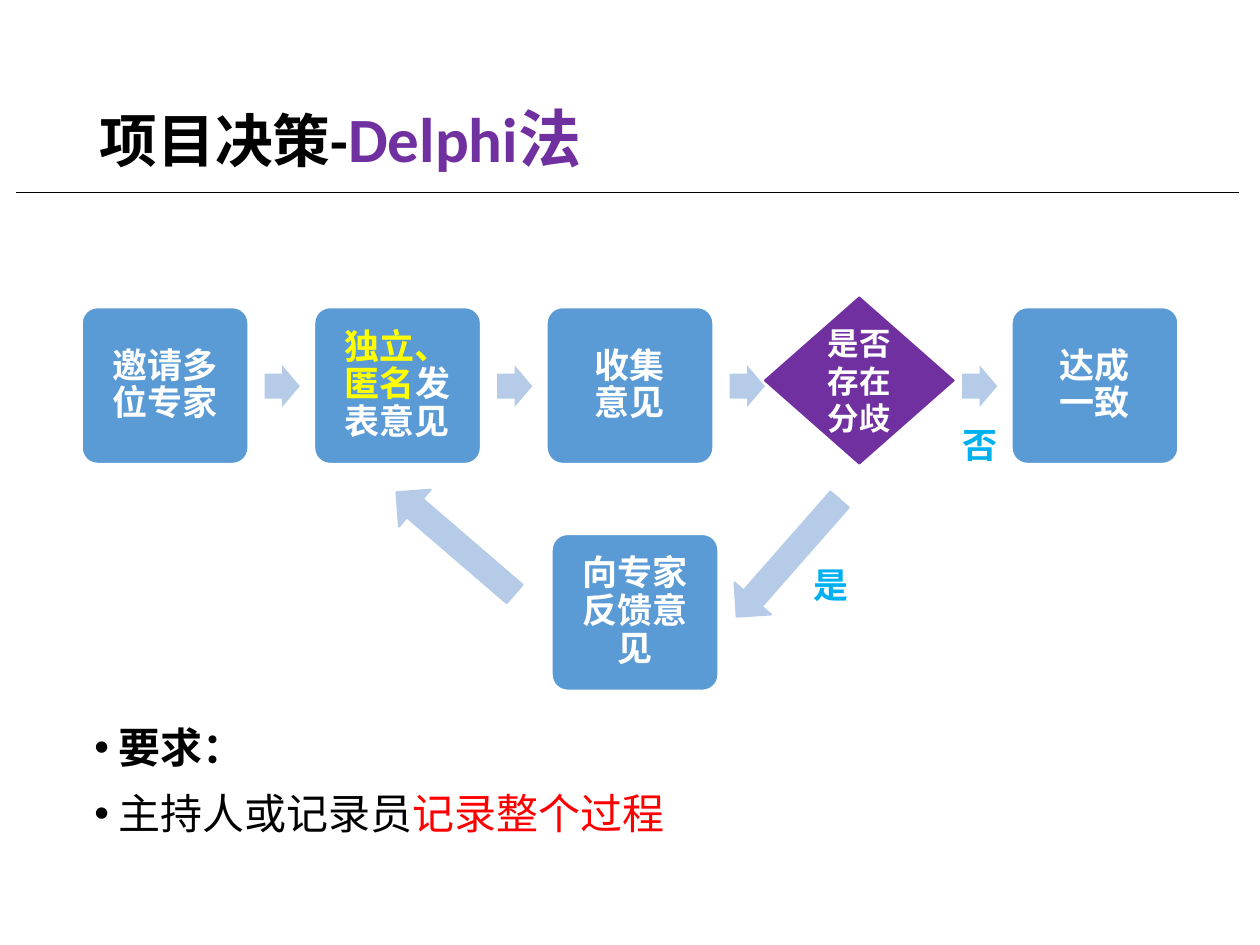
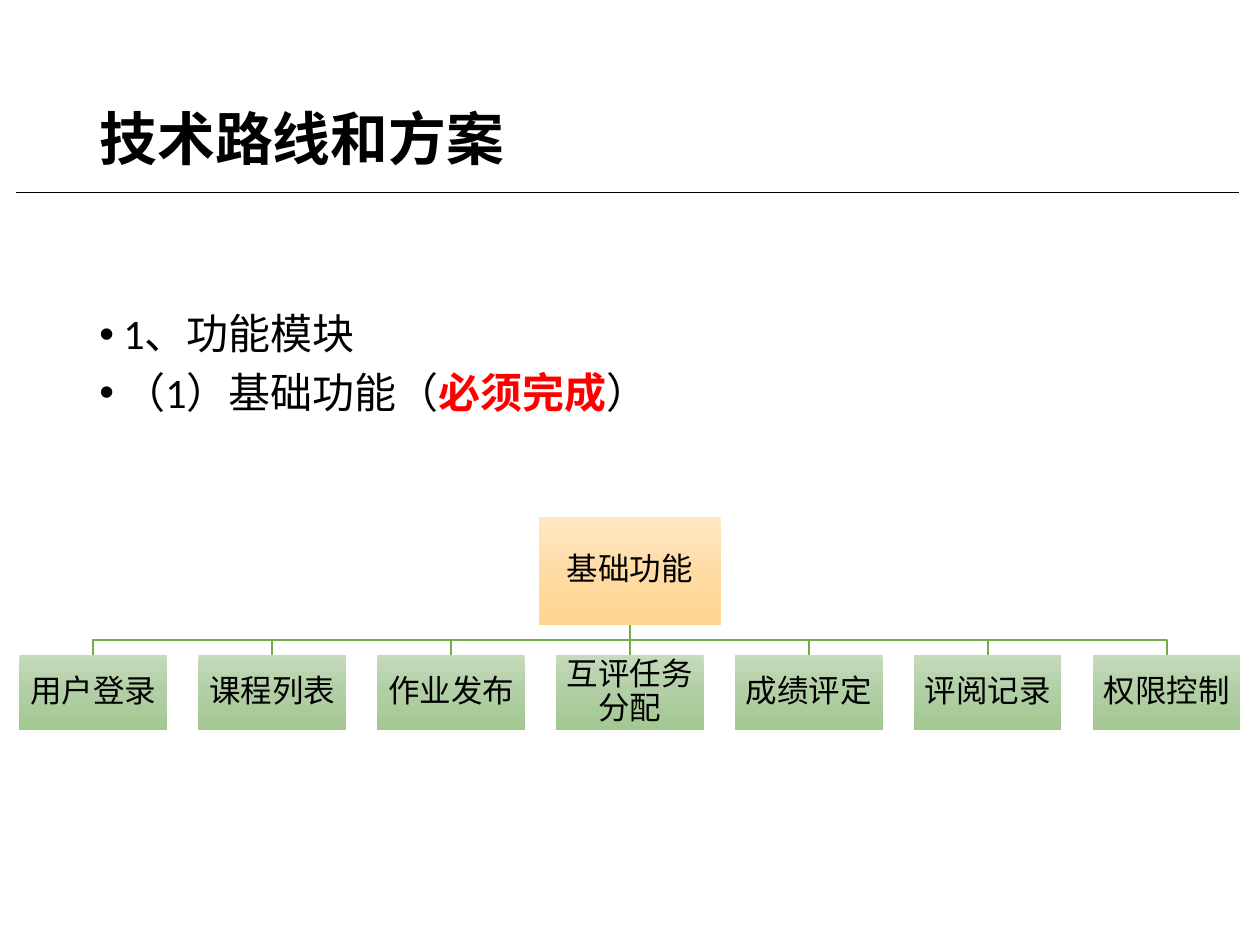
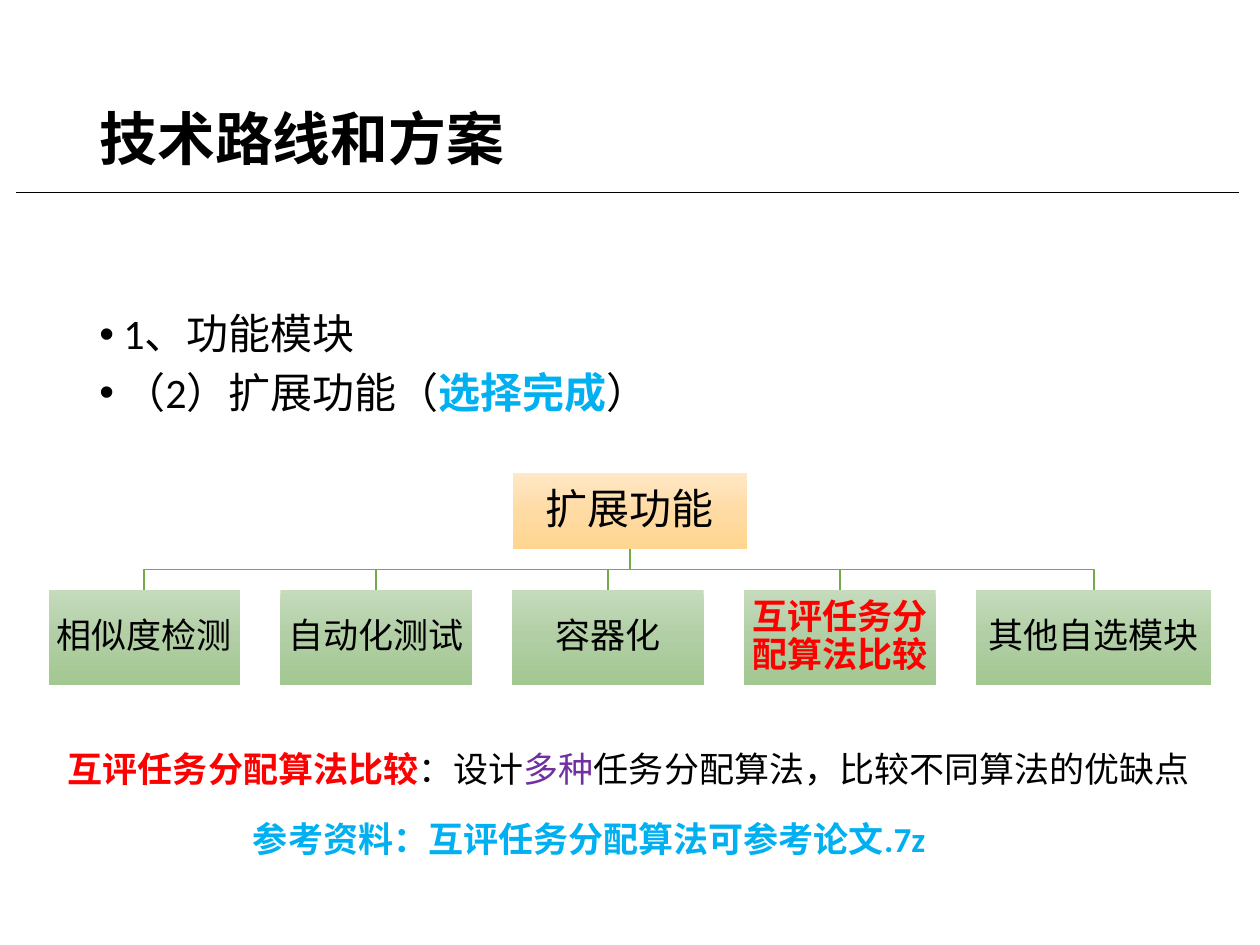
from copy import deepcopy

from lxml import etree
from pptx import Presentation
from pptx import util as u
from pptx.dml.color import RGBColor
from pptx.enum import shapes, text
from pptx.oxml.ns import qn

SHAPE, ALIGN, ANCHOR = shapes.MSO_SHAPE, text.PP_ALIGN, text.MSO_ANCHOR
SLIDE_W, SLIDE_H = 10, 7.5

# Palette
BLACK, WHITE, RED, YELLOW = "000000", "FFFFFF", "FF0000", "FFFF00"
PURPLE, CYAN, BLUE, PALE_BLUE, GREEN = "7030A0", "00B0F0", "5B9BD5", "B5CBE7", "70AD47"
ORANGE_FADE = ("FFE8C7", "FFDBA4", "FFD58F")
GREEN_FADE = ("C5DBBC", "B1CEA4", "A2C890")


def rgb(color):
    return RGBColor.from_string(color)


def inches(*values):
    return [u.Inches(v) for v in values]


# Text
def add_run(p, words, size=20, color=BLACK, bold=False, font="Calibri"):
    r = p.add_run()
    r.text = words
    r.font.size, r.font.bold, r.font.name = u.Pt(size), bold, font
    r.font.color.rgb = rgb(color)


def write(p, parts, align=ALIGN.LEFT, spacing=None, **fmt):
    """Fill a paragraph; a part is a string, a line break or (string, format)."""
    p.alignment, p.line_spacing = align, spacing
    for part in [parts] if isinstance(parts, str) else parts:
        words, own = (part, {}) if isinstance(part, str) else part
        if words == "\n":
            p.add_line_break()
        else:
            add_run(p, words, **{**fmt, **own})


def add_text(s, box, parts, wrap=False, **fmt):
    tf = s.shapes.add_textbox(*inches(*box)).text_frame
    tf.word_wrap = wrap
    write(tf.paragraphs[0], parts, **fmt)


def add_bullets(s, box, items, before=7.5, after=0, **fmt):
    tf = s.shapes.add_textbox(*inches(*box)).text_frame
    tf.word_wrap = True
    for i, parts in enumerate(items):
        p = tf.add_paragraph() if i else tf.paragraphs[0]
        write(p, parts, spacing=0.9, size=24, **fmt)
        p.space_before, p.space_after = u.Pt(before), u.Pt(after)
        pPr = p._p.get_or_add_pPr()
        pPr.set("marL", str(u.Inches(0.19)))
        pPr.set("indent", str(u.Inches(-0.19)))
        etree.SubElement(pPr, qn("a:buFont")).set("typeface", "Arial")
        etree.SubElement(pPr, qn("a:buChar")).set("char", "•")


# Shapes and lines
def fade(sp, colors):
    """Three-stop gradient running from top to bottom."""
    sp.fill.gradient()
    sp.fill.gradient_angle = 270
    stops = next(sp._element.iter(qn("a:gs"))).getparent()
    stops.insert(1, deepcopy(stops[0]))
    for stop, position, color in zip(sp.fill.gradient_stops, (0, 0.5, 1), colors):
        stop.position, stop.color.rgb = position, rgb(color)


def add_shape(s, kind, box, fill, line=None, adj=(), rotation=0):
    sp = s.shapes.add_shape(kind, *inches(*box))
    sp.shadow.inherit = False
    sp.rotation = rotation
    for i, value in enumerate(adj):
        sp.adjustments[i] = value
    if isinstance(fill, tuple):
        fade(sp, fill)
    else:
        sp.fill.solid()
        sp.fill.fore_color.rgb = rgb(fill)
    if line:
        sp.line.color.rgb, sp.line.width = rgb(line), u.Pt(1)
    else:
        sp.line.fill.background()
    return sp


def label(sp, parts, inset, spacing=0.9, **fmt):
    tf = sp.text_frame
    tf.word_wrap, tf.vertical_anchor = True, ANCHOR.MIDDLE
    tf.margin_left = tf.margin_right = tf.margin_top = tf.margin_bottom = u.Inches(inset)
    write(tf.paragraphs[0], parts, align=ALIGN.CENTER, spacing=spacing, **fmt)


def add_line(s, x1, y1, x2, y2, color, width):
    line = s.shapes.add_connector(shapes.MSO_CONNECTOR.STRAIGHT, *inches(x1, y1, x2, y2))
    line.line.color.rgb, line.line.width = rgb(color), u.Pt(width)
    etree.SubElement(line._element.spPr, qn("a:effectLst"))
    return line


def add_branch(s, x1, y1, x2, y2):
    """Line from a parent box down, across and down to a child box."""
    if abs(x1 - x2) < 0.01:
        add_line(s, x1, y1, x1, y2, GREEN, 1)
        return
    mid = (y1 + y2) / 2
    path = s.shapes.build_freeform(*inches(x1, y1))
    path.add_line_segments([inches(x1, mid), inches(x2, mid), inches(x2, y2)], close=False)
    sp = path.convert_to_shape()
    sp.shadow.inherit = False
    sp.fill.background()
    sp.line.color.rgb, sp.line.width = rgb(GREEN), u.Pt(1)


# Diagrams
def add_step(s, x, y, parts):
    sp = add_shape(s, SHAPE.ROUNDED_RECTANGLE, (x, y, 1.32, 1.24), BLUE, WHITE, adj=[0.1])
    label(sp, parts, 0.08, color=WHITE, bold=True, font="Times New Roman")


def add_tree(s, root, root_box, root_size, children, widths, top, height, gap, size):
    """Root box above one centred row of equally spaced child boxes."""
    x = (SLIDE_W - sum(widths) - gap * (len(widths) - 1)) / 2
    root_bottom = root_box[1] + root_box[3]
    boxes = []
    for width in widths:
        boxes.append((x, top, width, height))
        add_branch(s, SLIDE_W / 2, root_bottom, x + width / 2, top)
        x += width + gap
    label(add_shape(s, SHAPE.RECTANGLE, root_box, ORANGE_FADE), root, 0.02, size=root_size)
    for box, parts in zip(boxes, children):
        label(add_shape(s, SHAPE.RECTANGLE, box, GREEN_FADE), parts, 0.01, size=size)


# Slides
def new_slide(prs, title):
    s = prs.slides.add_slide(prs.slide_layouts[5])
    sp = s.shapes.title
    sp.left, sp.top, sp.width, sp.height = inches(0.69, 0.4, 8.62, 1.45)
    sp.text_frame.vertical_anchor = ANCHOR.MIDDLE
    write(sp.text_frame.paragraphs[0], title, spacing=0.9, size=33, bold=True)
    return s


def add_title_rule(prs, s):
    """Draw the rule under the title and hand it to the shared layout."""
    rule = add_line(s, 0.13, 1.53, 9.83, 1.53, BLACK, 0.5)
    prs.slide_layouts[5]._element.cSld.spTree.append(rule._element)


def delphi_slide(prs):
    s = new_slide(prs, ["项目决策-", ("Delphi法", dict(size=36, color=PURPLE))])
    add_title_rule(prs, s)

    # Row of steps; the fourth place holds the decision
    steps = ["邀请多位专家", [("独立、匿名", dict(color=YELLOW)), "发表意见"],
             ["收集", "\n", "意见"], None, ["达成", "\n", "一致"]]
    for i, parts in enumerate(steps):
        x = 0.65 + i * 1.845
        if parts:
            add_step(s, x, 2.44, parts)
        if i < len(steps) - 1:
            add_shape(s, SHAPE.RIGHT_ARROW, (x + 1.45, 2.9, 0.28, 0.33), PALE_BLUE,
                      adj=[0.6, 0.5])
    for x, y, answer in [(6.36, 4.42, "是"), (7.54, 3.31, "否")]:
        add_text(s, (x, y, 0.45, 0.44), answer, color=CYAN, bold=True)

    add_bullets(s, (0.65, 5.72, 9.01, 1.13), [
        [("要求：", dict(bold=True))],
        ["主持人或记录员", ("记录整个过程", dict(color=RED))],
    ], before=6, after=6)

    # Feedback loop
    add_step(s, 4.38, 4.24, "向专家反馈意见")
    for x, y, rotation in [(6.06, 3.81, 41.3), (3.42, 3.69, 130.7)]:
        add_shape(s, SHAPE.DOWN_ARROW, (x, y, 0.39, 1.24), PALE_BLUE, PALE_BLUE,
                  rotation=rotation)
    decision = add_shape(s, SHAPE.DIAMOND, (6.07, 2.36, 1.5, 1.32), PURPLE, PURPLE)
    label(decision, "是否存在分歧", 0.08, spacing=None, size=18, color=WHITE, bold=True,
          font="Times New Roman")


def module_slide(prs, heading, remark, color):
    s = new_slide(prs, "技术路线和方案")
    add_bullets(s, (0.69, 2.44, 8.62, 3.57), [
        "1、功能模块",
        [heading + "（", (remark, dict(color=color, bold=True)), "）"],
    ])
    return s


def basic_slide(prs):
    s = module_slide(prs, "（1）基础功能", "必须完成", RED)
    modules = ["用户登录", "课程列表", "作业发布", "互评任务分配",
               "成绩评定", "评阅记录", "权限控制"]
    add_tree(s, "基础功能", (4.28, 4.1, 1.44, 0.86), 18, modules,
             [1.17] * len(modules), top=5.2, height=0.59, gap=0.25, size=18)


def extension_slide(prs):
    s = module_slide(prs, "（2）扩展功能", "选择完成", CYAN)
    comparison = ("互评任务分配算法比较", dict(color=RED, bold=True))
    add_text(s, (0.44, 5.88, 9.12, 0.44), [
        comparison, "：设计", ("多种", dict(color=PURPLE)),
        "任务分配算法，比较不同算法的优缺点"])
    modules = ["相似度检测", "自动化测试", "容器化", [comparison], "其他自选模块"]
    add_tree(s, "扩展功能", (4.07, 3.75, 1.86, 0.61), 24, modules,
             [1.52] * 4 + [1.87], top=4.68, height=0.76, gap=0.32, size=20)
    add_text(s, (1.91, 6.44, 5.84, 0.44), "参考资料：互评任务分配算法可参考论文.7z",
             color=CYAN, bold=True)


def main():
    prs = Presentation()
    prs.slide_width, prs.slide_height = inches(SLIDE_W, SLIDE_H)
    delphi_slide(prs)
    basic_slide(prs)
    extension_slide(prs)
    prs.save("out.pptx")


main()
